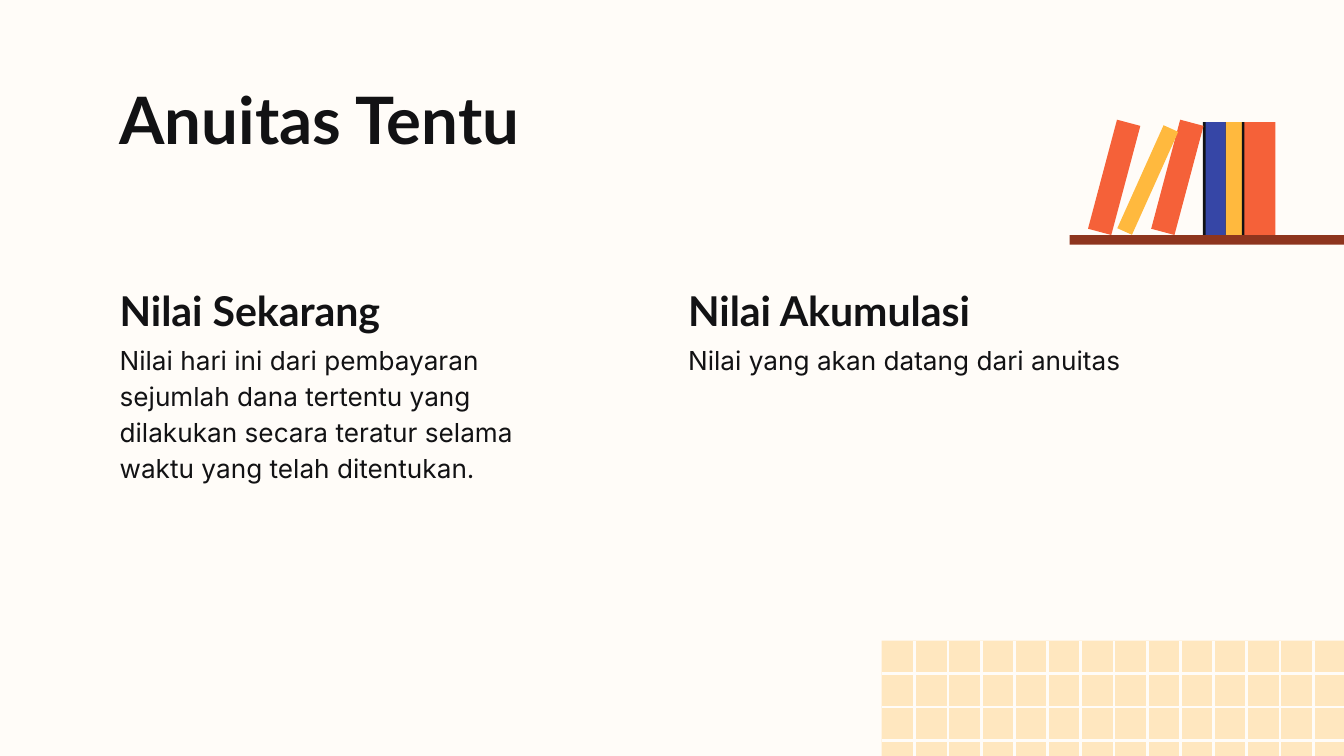
import dataclasses

import pptx
import pptx.dml.color
import pptx.enum.shapes
import pptx.enum.text
import pptx.oxml.ns
import pptx.util
from lxml import etree

COLS, ROWS = 100, 56.25
UNIT = pptx.util.Inches(10) // COLS
ANCHOR = pptx.enum.text.MSO_ANCHOR


@dataclasses.dataclass(frozen=True)
class Theme:
    paper: str = "FFFCF8"
    ink: str = "121214"
    orange: str = "F56139"
    yellow: str = "FFB93E"
    blue: str = "3646A6"
    brown: str = "8E351E"
    heading_font: str = "Lato"
    body_font: str = "Inter"
    title_size: int = 35
    heading_size: int = 22
    body_size: int = 14
    grid_line: float = 1.5


THEME = Theme()


def grid(*lengths):
    return [round(n * UNIT) for n in lengths]


def rgb(value):
    return pptx.dml.color.RGBColor.from_string(value)


def fill_text(sp, box, text, font, size, bold=False, anchor=ANCHOR.TOP, spacing=1.15):
    sp.left, sp.top, sp.width, sp.height = grid(*box)
    tf = sp.text_frame
    tf.word_wrap = True
    tf.auto_size = pptx.enum.text.MSO_AUTO_SIZE.NONE
    tf.vertical_anchor = anchor
    tf.margin_left = tf.margin_right = tf.margin_top = tf.margin_bottom = UNIT
    p = tf.paragraphs[0]
    p.alignment = pptx.enum.text.PP_ALIGN.LEFT
    p.line_spacing = spacing
    p.space_before = pptx.util.Pt(0)
    pPr = p._p.get_or_add_pPr()
    pPr.set("marL", "0")
    pPr.set("indent", "0")
    etree.SubElement(pPr, pptx.oxml.ns.qn("a:buNone"))
    r = p.add_run()
    r.text = text
    r.font.name = font
    r.font.size = pptx.util.Pt(size)
    r.font.bold = bold
    r.font.color.rgb = rgb(THEME.ink)


def add_block(s, box, color, rotation=0, alpha=None):
    sp = s.shapes.add_shape(pptx.enum.shapes.MSO_SHAPE.RECTANGLE, *grid(*box))
    sp.shadow.inherit = False
    sp.rotation = rotation
    sp.fill.solid()
    sp.fill.fore_color.rgb = rgb(color)
    sp.line.fill.background()
    if alpha is not None:
        clr = sp._element.spPr.find(".//" + pptx.oxml.ns.qn("a:srgbClr"))
        etree.SubElement(clr, pptx.oxml.ns.qn("a:alpha")).set("val", str(alpha * 1000))


def add_rule(s, x1, y1, x2, y2):
    line = s.shapes.add_connector(
        pptx.enum.shapes.MSO_CONNECTOR.STRAIGHT, *grid(x1, y1, x2, y2))
    line.line.color.rgb = rgb(THEME.paper)
    line.line.width = pptx.util.Pt(THEME.grid_line)
    etree.SubElement(line._element.spPr, pptx.oxml.ns.qn("a:effectLst"))


def add_column(s, left, heading_idx, heading, body_idx, body):
    fill_text(s.placeholders[heading_idx], (left, 19.8, 34.6, 6.1), heading,
              THEME.heading_font, THEME.heading_size, True, ANCHOR.BOTTOM)
    fill_text(s.placeholders[body_idx], (left, 24.3, 34.6, 22.3), body,
              THEME.body_font, THEME.body_size)


def add_tiles(s):
    left, top, step = 65.6, 47.67, 2.47
    add_block(s, (left, top, COLS - left, ROWS - top), THEME.yellow, alpha=30)
    for row in range(1, int((ROWS - top) / step) + 1):
        add_rule(s, left, top + row * step, COLS, top + row * step)
    for col in range(1, int((COLS - left) / step) + 1):
        add_rule(s, left + col * step, top, left + col * step, ROWS)


def add_bookshelf(s):
    books = [
        (89.5, 9.1, 2.3, THEME.ink, 0),
        (86.7, 9, 1.8, THEME.orange, 14.9),
        (91.2, 9.1, 1.2, THEME.yellow, 0),
        (89.7, 9.1, 1.5, THEME.blue, 0),
        (84.8, 9.2, 1.2, THEME.yellow, 24.2),
        (92.4, 9.1, 2.4, THEME.ink, 0),
        (92.6, 9.1, 2.3, THEME.orange, 0),
        (82, 9, 1.8, THEME.orange, 14.9),
    ]
    for left, top, width, color, rotation in books:
        add_block(s, (left, top, width, 8.4), color, rotation)
    add_block(s, (79.6, 17.5, COLS - 79.6, 0.7), THEME.brown)


def main():
    prs = pptx.Presentation()
    prs.slide_width, prs.slide_height = grid(COLS, ROWS)
    s = prs.slides.add_slide(prs.slide_layouts.get_by_name("Comparison"))
    s.background.fill.solid()
    s.background.fill.fore_color.rgb = rgb(THEME.paper)
    fill_text(s.shapes.title, (7.9, 4.9, 84.3, 6.3), "Anuitas Tentu",
              THEME.heading_font, THEME.title_size, True, spacing=1.0)
    add_column(s, 7.9, 1, "Nilai Sekarang", 2,
               "Nilai hari ini dari pembayaran sejumlah dana tertentu yang "
               "dilakukan secara teratur selama waktu yang telah ditentukan.")
    add_column(s, 50.2, 3, "Nilai Akumulasi", 4,
               "Nilai yang akan datang dari anuitas")
    add_tiles(s)
    add_bookshelf(s)
    prs.save("out.pptx")


if __name__ == "__main__":
    main()
